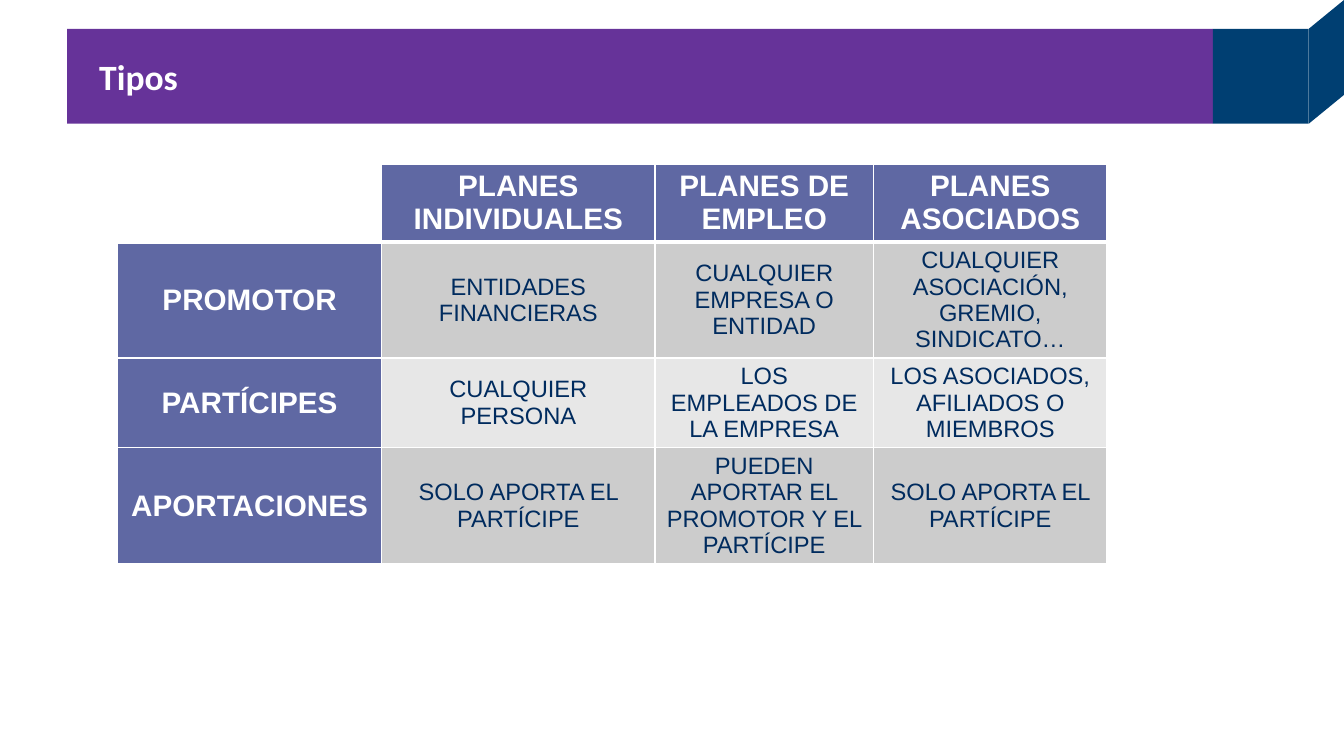
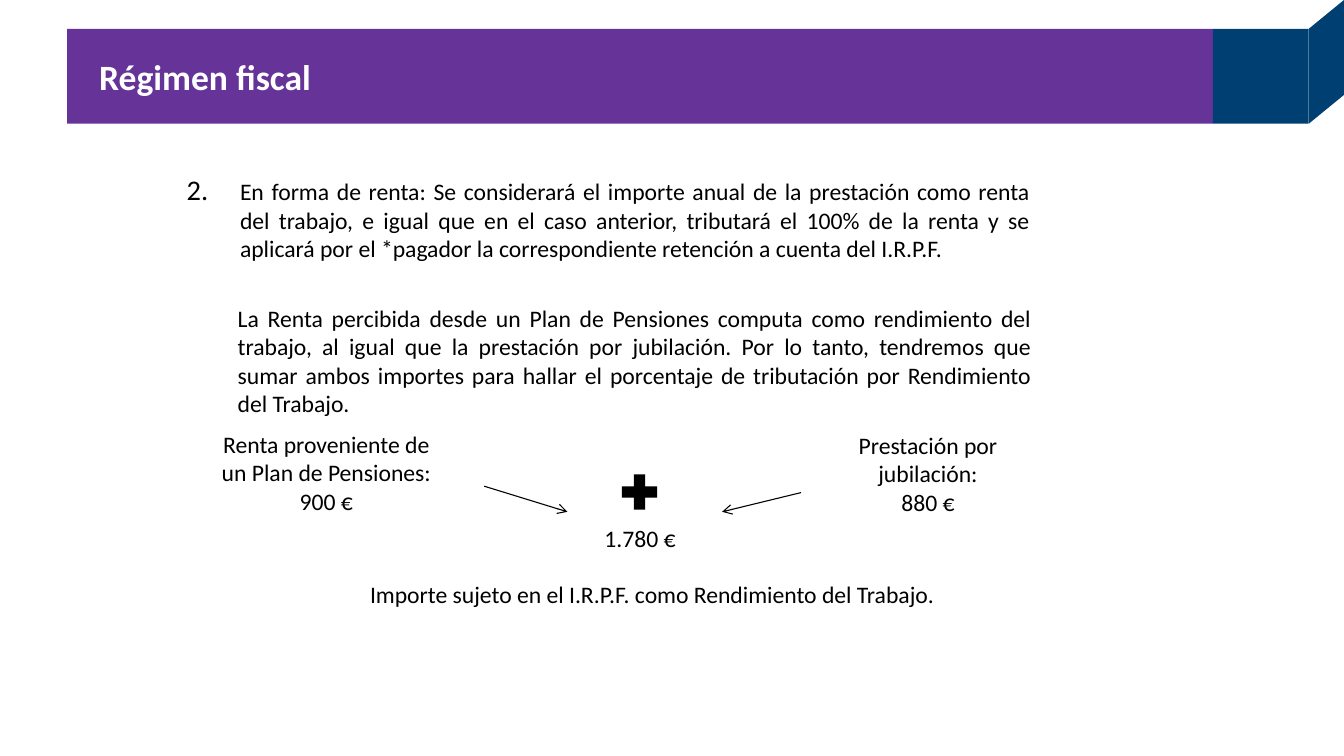
from dataclasses import dataclass, field
from typing import Any

from lxml import etree
from pptx import Presentation
from pptx import util as u
from pptx.dml.color import RGBColor
from pptx.enum import shapes, text
from pptx.oxml.ns import qn

COLORS = {
    "band": "663399", "corner": "003F72", "head": "5F68A3",
    "odd_row": "CCCCCC", "even_row": "E7E7E7",
    "cell_text": "002B5E", "white": "FFFFFF", "black": "000000",
}
# Square grid: 126 columns by 70.9 rows
COLUMNS, ROWS = 126, 70.9
BAND_LEFT, BAND_TOP, BAND_HEIGHT = 6.3, 2.7, 8.9
SQUARE_LEFT, CORNER_LEFT = 113.7, 122.7
TITLE_LAYOUT, LIST_LAYOUT = 5, 1
ALIGN = text.PP_ALIGN
ANCHOR = text.MSO_ANCHOR
SHAPE = shapes.MSO_SHAPE


def grid(*steps):
    return [u.Inches(round(step / 10, 3)) for step in steps]


def rgb(name):
    return RGBColor.from_string(COLORS[name])


def add_child(parent, tag, **attributes):
    child = etree.SubElement(parent, qn(tag))
    for key, value in attributes.items():
        child.set(key, str(value))
    return child


def write(frame, words, size=16, font="Calibri", color="black", bold=False,
          align=ALIGN.LEFT, anchor=ANCHOR.TOP, number=None):
    """Fill a text frame, one paragraph a line; number starts a numbered list."""
    frame.word_wrap = True
    frame.vertical_anchor = anchor
    for index, line in enumerate(words.split("\n")):
        para = frame.paragraphs[0] if index == 0 else frame.add_paragraph()
        para.alignment = align
        para.space_before = u.Pt(0)
        if number:
            properties = para._p.get_or_add_pPr()
            indent = u.Inches(0.5)
            properties.set("marL", str(indent))
            properties.set("indent", str(-indent))
            add_child(properties, "a:buSzPct", val=120000)
            add_child(properties, "a:buFont", typeface="+mj-lt")
            add_child(properties, "a:buAutoNum", type="arabicPeriod", startAt=number)
        span = para.add_run()
        span.text = line
        span.font.size = u.Pt(size)
        span.font.name = font
        span.font.bold = bold
        span.font.color.rgb = rgb(color)


def set_borders(cell, top, bottom):
    """Draw white borders round a cell, 1 point wide at the sides."""
    properties = cell._tc.get_or_add_tcPr()
    widths = {"a:lnL": 1, "a:lnR": 1, "a:lnT": top, "a:lnB": bottom}
    for place, (tag, width) in enumerate(widths.items()):
        border = add_child(properties, tag, w=u.Pt(width))
        add_child(add_child(border, "a:solidFill"), "a:srgbClr", val=COLORS["white"])
        properties.insert(place, border)


@dataclass
class Builder:
    deck: Any = field(default_factory=Presentation)
    page: Any = None

    def set_size(self):
        self.deck.slide_width, self.deck.slide_height = grid(COLUMNS, ROWS)

    def start_page(self, title, layout=TITLE_LAYOUT):
        """Add a slide with its title band and folded corner."""
        self.page = self.deck.slides.add_slide(self.deck.slide_layouts[layout])
        box = self.page.shapes.title
        self.move(box, BAND_LEFT, BAND_TOP, SQUARE_LEFT - BAND_LEFT, BAND_HEIGHT)
        box.fill.solid()
        box.fill.fore_color.rgb = rgb("band")
        frame = box.text_frame
        frame.auto_size = text.MSO_AUTO_SIZE.NONE
        frame.margin_left, frame.margin_right = grid(3, 1)
        frame.margin_top = frame.margin_bottom = u.Inches(0.04)
        write(frame, title, size=24, color="white", bold=True, anchor=ANCHOR.MIDDLE)
        self.draw_corner()

    def draw_corner(self):
        fold_width, fold_height = COLUMNS - CORNER_LEFT, BAND_TOP
        shift = (fold_width - fold_height) / 2
        fold_bottom = BAND_TOP + BAND_HEIGHT - fold_height
        self.shape(SHAPE.RECTANGLE, SQUARE_LEFT, BAND_TOP,
                   CORNER_LEFT - SQUARE_LEFT, BAND_HEIGHT, "corner")
        self.shape(SHAPE.RECTANGLE, CORNER_LEFT, BAND_TOP,
                   fold_width, BAND_HEIGHT - fold_height, "corner")
        for top, turn in ((0, 270), (fold_bottom, 90)):
            self.shape(SHAPE.RIGHT_TRIANGLE, CORNER_LEFT + shift, top - shift,
                       fold_height, fold_width, "corner", turn)

    def move(self, box, *place):
        box.left, box.top, box.width, box.height = grid(*place)

    def shape(self, kind, left, top, width, height, color, turn=0):
        box = self.page.shapes.add_shape(kind, *grid(left, top, width, height))
        box.shadow.inherit = False
        box.fill.solid()
        box.fill.fore_color.rgb = rgb(color)
        box.line.fill.background()
        box.rotation = turn

    def label(self, words, *place, align=ALIGN.CENTER):
        box = self.page.shapes.add_textbox(*grid(*place))
        write(box.text_frame, words, align=align)

    def numbered_list(self, words, *place, start):
        box = self.page.placeholders[1]
        self.move(box, *place)
        box.text_frame.auto_size = text.MSO_AUTO_SIZE.NONE
        write(box.text_frame, words, align=ALIGN.JUSTIFY, number=start)

    def arrow(self, *ends):
        line = self.page.shapes.add_connector(shapes.MSO_CONNECTOR.STRAIGHT, *grid(*ends))
        line.line.color.rgb = rgb("black")
        line.line.width = u.Pt(0.75)
        add_child(line.line._get_or_add_ln(), "a:tailEnd", type="arrow")
        add_child(line._element.spPr, "a:effectLst")

    def table(self, rows, left, top, widths, heights):
        """Add a table with a heading row and a heading column."""
        place = grid(left, top, sum(widths), sum(heights))
        table = self.page.shapes.add_table(len(rows), len(widths), *place).table
        for column, width in zip(table.columns, grid(*widths)):
            column.width = width
        for row, height in zip(table.rows, grid(*heights)):
            row.height = height
        for r, row in enumerate(rows):
            for c, words in enumerate(row):
                self.fill_cell(table.cell(r, c), words, r, c)

    def fill_cell(self, cell, words, r, c):
        heading = r == 0 or c == 0
        if not words:
            color = "white"
        elif heading:
            color = "head"
        else:
            color = "odd_row" if r % 2 else "even_row"
        cell.fill.solid()
        cell.fill.fore_color.rgb = rgb(color)
        set_borders(cell, top=3 if r == 1 else 1, bottom=3 if r == 0 else 1)
        cell.vertical_anchor = ANCHOR.MIDDLE
        if words:
            write(cell.text_frame, words, size=20 if heading else 16, font="Arial",
                  color="white" if heading else "cell_text", bold=heading,
                  align=ALIGN.CENTER, anchor=None)


PLAN_TYPES = [
    ["", "PLANES\nINDIVIDUALES", "PLANES DE\nEMPLEO", "PLANES\nASOCIADOS"],
    ["PROMOTOR", "ENTIDADES FINANCIERAS", "CUALQUIER EMPRESA O ENTIDAD",
     "CUALQUIER ASOCIACIÓN, GREMIO, SINDICATO…"],
    ["PARTÍCIPES", "CUALQUIER PERSONA", "LOS EMPLEADOS DE LA EMPRESA",
     "LOS ASOCIADOS, AFILIADOS O MIEMBROS"],
    ["APORTACIONES", "SOLO APORTA EL PARTÍCIPE",
     "PUEDEN APORTAR EL PROMOTOR Y EL PARTÍCIPE", "SOLO APORTA EL PARTÍCIPE"],
]


def build_types(builder):
    builder.start_page("Tipos")
    builder.table(PLAN_TYPES, 11, 15.4, widths=[24.8, 25.6, 20.5, 21.9],
                  heights=[7.3, 10.8, 8.4, 10.8])


def build_taxation(builder):
    builder.start_page("Régimen fiscal", LIST_LAYOUT)
    builder.numbered_list(
        "En forma de renta: Se considerará el importe anual de la prestación como renta "
        "del trabajo, e igual que en el caso anterior, tributará el 100% de la renta y se "
        "aplicará por el *pagador la correspondiente retención a cuenta del I.R.P.F.",
        16.5, 16.1, 81.1, 15, start=2)
    builder.label(
        "La Renta percibida desde un Plan de Pensiones computa como rendimiento del "
        "trabajo, al igual que la prestación por jubilación. Por lo tanto, tendremos que "
        "sumar ambos importes para hallar el porcentaje de tributación por Rendimiento "
        "del Trabajo.", 21.3, 28, 76.4, 15, align=ALIGN.JUSTIFY)
    builder.label("Renta proveniente de\nun Plan de Pensiones:\n900 €", 13.8, 39.8, 33.6, 11.8)
    builder.label("Prestación por\njubilación:\n880 €", 70.2, 39.9, 33.6, 11.8)
    builder.shape(SHAPE.MATH_PLUS, 57.7, 43.9, 4.5, 4.5, "black")
    builder.label("1.780 €", 51.4, 48.6, 17.2, 3.7)
    builder.arrow(45.4, 45.6, 53.2, 48)
    builder.arrow(75.1, 46.2, 67.7, 48)
    builder.label("Importe sujeto en el I.R.P.F. como Rendimiento del Trabajo.",
                  21.3, 53.9, 79.7, 3.7)


def main():
    builder = Builder()
    builder.set_size()
    build_types(builder)
    build_taxation(builder)
    builder.deck.save("out.pptx")


if __name__ == "__main__":
    main()
